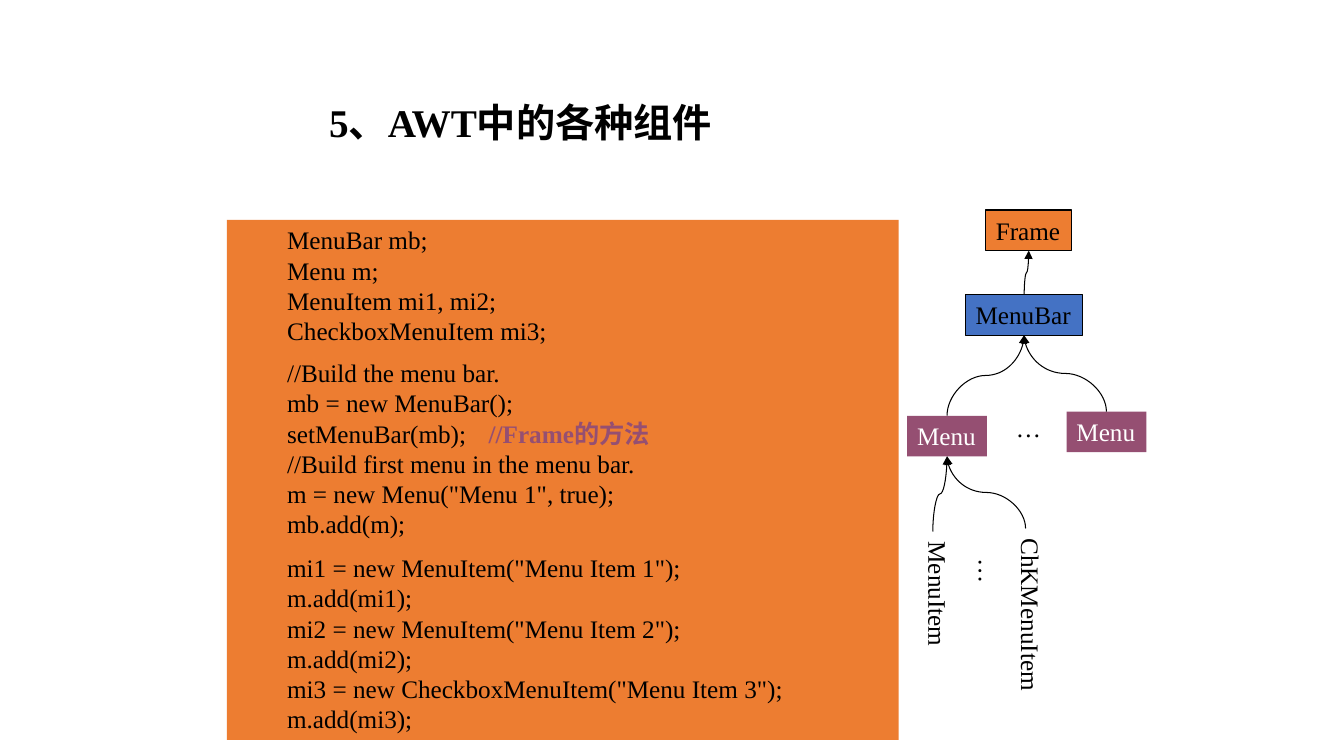
from pptx import Presentation
from pptx.dml.color import RGBColor
from pptx.enum.shapes import MSO_CONNECTOR, MSO_SHAPE
from pptx.enum.text import MSO_ANCHOR, PP_ALIGN
from pptx.oxml.ns import qn
from pptx.util import Pt
from lxml.etree import SubElement

FONT = "Times New Roman"
BLACK, WHITE = "000000", "FFFFFF"
ORANGE, BLUE, PURPLE = "ED7D31", "4472C4", "954F72"

# Each block is a group of lines; a line is split at its tab into code and remark.
CODE_BLOCKS = [
    (0, ["MenuBar mb;", "Menu m;", "MenuItem mi1, mi2;", "CheckboxMenuItem mi3;"]),
    (8.4, ["//Build the menu bar.", "mb = new MenuBar();",
           "setMenuBar(mb);\t//Frame的方法",
           "//Build first menu in the menu bar.",
           'm = new Menu("Menu 1", true);', "mb.add(m);"]),
    (9.6, ['mi1 = new MenuItem("Menu Item 1");', "m.add(mi1);",
           'mi2 = new MenuItem("Menu Item 2");', "m.add(mi2);",
           'mi3 = new CheckboxMenuItem("Menu Item 3");', "m.add(mi3);"]),
]

# name: (text, left, top, width, height, fill, outlined, font colour, vertical)
TREE_NODES = {
    "frame": ("Frame", 56.2, 0, 61.2, 29, ORANGE, True, BLACK, False),
    "bar": ("MenuBar", 41.8, 60.5, 83.5, 29, BLUE, True, BLACK, False),
    "first menu": ("Menu", 0, 147, 57, 29, PURPLE, False, WHITE, False),
    "last menu": ("Menu", 113.8, 144, 57, 29, PURPLE, False, WHITE, False),
    "item": ("MenuItem", 0, 229.7, 36.7, 82.8, None, False, BLACK, True),
    "check item": ("ChKMenuItem", 66.2, 227.5, 36.7, 117.4, None, False, BLACK, True),
    "more menus": ("…", 70.6, 141, 32.4, 29, None, False, BLACK, False),
    "more items": ("…", 36, 242, 36.7, 25.2, None, False, BLACK, True),
}
TREE_LINKS = [("bar", "frame"), ("first menu", "bar"), ("last menu", "bar"),
              ("item", "first menu"), ("check item", "first menu")]


def rgb(color):
    return RGBColor.from_string(color)


def add_run(paragraph, text, size=18, color=BLACK, bold=False):
    run = paragraph.add_run()
    run.text = text
    run.font.name = FONT
    run.font.size = Pt(size)
    run.font.bold = bold
    run.font.color.rgb = rgb(color)


def add_panel(slide, left, top, width, height, fill, outlined=False):
    panel = slide.shapes.add_shape(
        MSO_SHAPE.RECTANGLE, Pt(left), Pt(top), Pt(width), Pt(height))
    panel.shadow.inherit = False
    panel.fill.solid()
    panel.fill.fore_color.rgb = rgb(fill)
    if outlined:
        panel.line.color.rgb = rgb(BLACK)
        panel.line.width = Pt(0.75)
    else:
        panel.line.fill.background()
    return panel


def add_title(slide, left, top, width, height):
    title = slide.shapes.add_textbox(Pt(left), Pt(top), Pt(width), Pt(height))
    title.text_frame.word_wrap = True
    heading = title.text_frame.paragraphs[0]
    heading.line_spacing = 1.2
    add_run(heading, "5、AWT中的各种组件", size=28, bold=True)


def add_code(slide, left, top, width, height):
    frame = add_panel(slide, left, top, width, height, ORANGE).text_frame
    frame.word_wrap = True
    frame.vertical_anchor = MSO_ANCHOR.TOP
    line = frame.paragraphs[0]
    for block, (gap, sources) in enumerate(CODE_BLOCKS):
        for row, source in enumerate(sources):
            if block or row:
                line = frame.add_paragraph()
            line.alignment = PP_ALIGN.LEFT
            if row == 0 and gap:
                line.space_before = Pt(gap)
            properties = line._p.get_or_add_pPr()
            properties.set("marL", str(Pt(36)))
            properties.set("indent", "0")
            code, tab, remark = source.partition("\t")
            if remark:
                stops = SubElement(properties, qn("a:tabLst"))
                SubElement(stops, qn("a:tab"), pos=str(Pt(177.3)), algn="l")
            add_run(line, code + tab)
            if remark:
                add_run(line, remark, color=PURPLE, bold=True)


def add_node(slide, left, top, width, height, text, fill, outlined, color, vertical):
    if fill:
        node = add_panel(slide, left, top, width, height, fill, outlined)
    else:
        node = slide.shapes.add_textbox(Pt(left), Pt(top), Pt(width), Pt(height))
    frame = node.text_frame
    frame.word_wrap = False
    frame.vertical_anchor = MSO_ANCHOR.TOP
    if vertical:
        frame._txBody.bodyPr.set("vert", "eaVert")
    label = frame.paragraphs[0]
    label.alignment = PP_ALIGN.LEFT
    add_run(label, text, color=color)


def add_link(slide, child_x, child_y, parent_x, parent_y):
    """Draw an upward S-curve: a sideways curve turned by a quarter."""
    middle_x, middle_y = (child_x + parent_x) / 2, (child_y + parent_y) / 2
    turn = 1 if parent_x > child_x else -1
    along = turn * (child_y - parent_y) / 2
    across = abs(parent_x - child_x) / 2
    link = slide.shapes.add_connector(
        MSO_CONNECTOR.CURVE, Pt(middle_x + along), Pt(middle_y + across),
        Pt(middle_x - along), Pt(middle_y - across))
    link.line.color.rgb = rgb(BLACK)
    link.line.width = Pt(0.75)
    properties = link._element.spPr
    properties.find(qn("a:xfrm")).set("rot", str(turn * 90 % 360 * 60000))
    SubElement(properties.find(qn("a:ln")), qn("a:tailEnd"), type="triangle")
    SubElement(properties, qn("a:effectLst"))


def add_menu_tree(slide, left, top):
    for text, x, y, width, height, *style in TREE_NODES.values():
        add_node(slide, left + x, top + y, width, height, text, *style)
    for child, parent in TREE_LINKS:
        _, child_x, child_y, child_width, *_ = TREE_NODES[child]
        _, parent_x, parent_y, parent_width, parent_height, *_ = TREE_NODES[parent]
        add_link(slide, left + child_x + child_width / 2, top + child_y,
                 left + parent_x + parent_width / 2, top + parent_y + parent_height)


def main():
    deck = Presentation()
    deck.slide_width, deck.slide_height = Pt(960), Pt(540)
    slide = deck.slides.add_slide(deck.slide_layouts[6])
    add_title(slide, 228, 60, 291, 45)
    add_code(slide, 162, 157, 480, 371.5)
    add_menu_tree(slide, 648, 150)
    deck.save("out.pptx")


if __name__ == "__main__":
    main()
